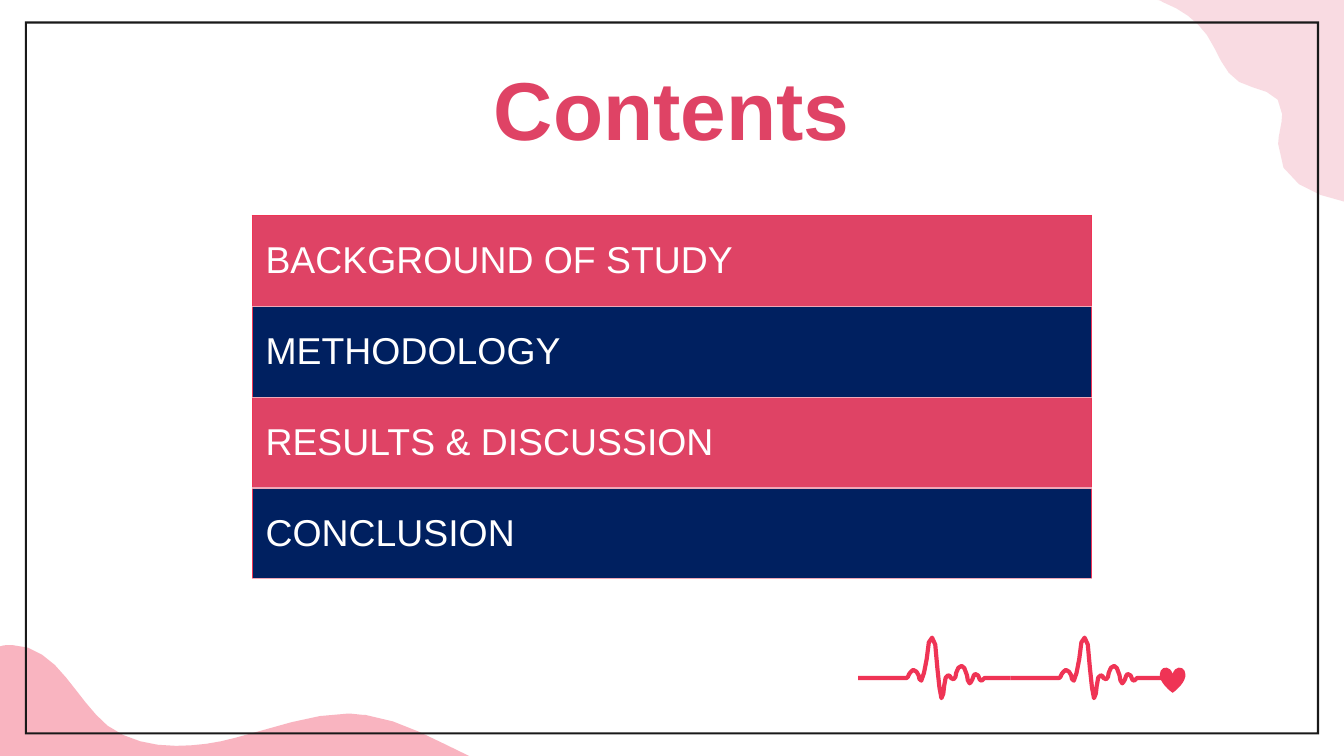
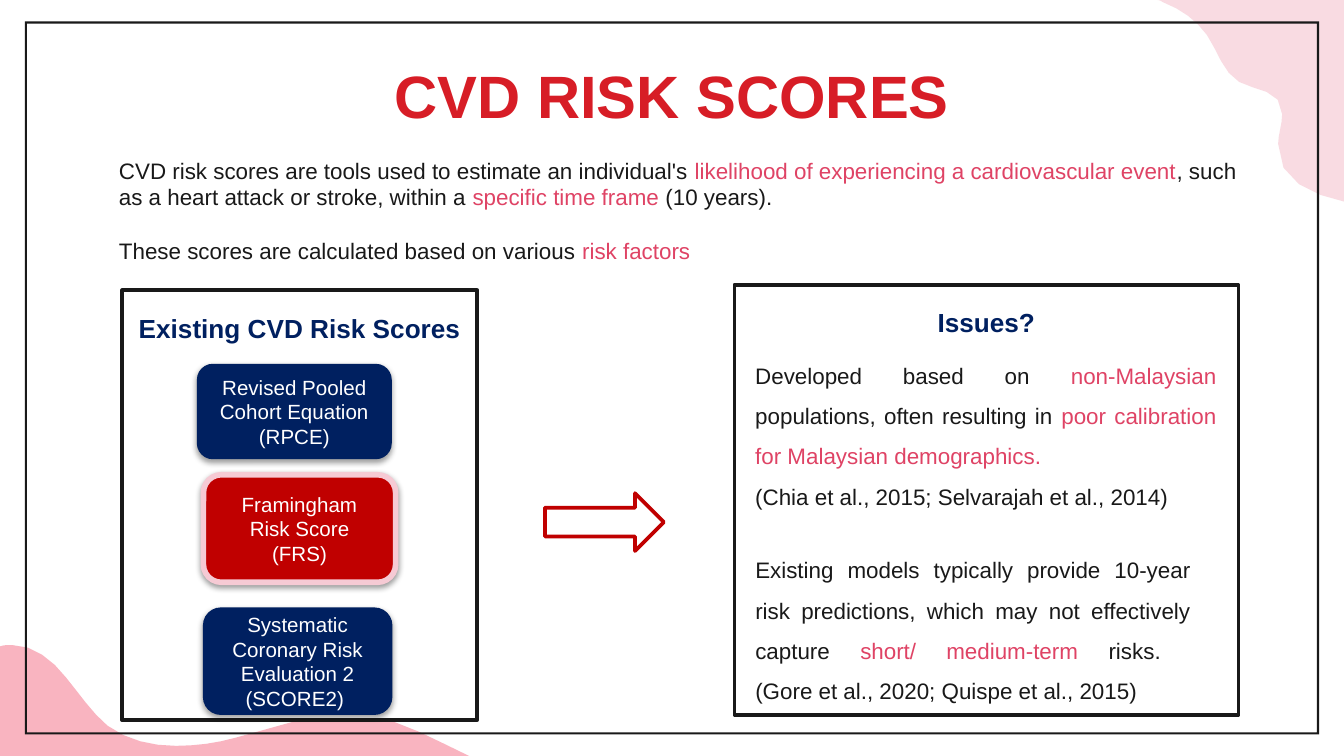
from copy import deepcopy

from pptx import Presentation
from pptx.dml.color import RGBColor
from pptx.enum.shapes import MSO_SHAPE
from pptx.enum.text import MSO_ANCHOR, MSO_AUTO_SIZE, PP_ALIGN
from pptx.oxml import parse_xml
from pptx.oxml.ns import nsdecls
from pptx.util import Emu, Pt

# The grid: 100 columns by 56.25 rows of square cells
WIDTH, HEIGHT = Emu(9144000), Emu(5143500)
CELL = WIDTH / 100
COLS, ROWS = 100, 56.25
FONT = "Arial"

WHITE = RGBColor(0xFF, 0xFF, 0xFF)
INK = RGBColor(0x19, 0x19, 0x19)
ROSE = RGBColor(0xDF, 0x43, 0x65)
NAVY = RGBColor(0x00, 0x20, 0x60)
RED = RGBColor(0xD7, 0x1D, 0x26)
DEEP = RGBColor(0xC0, 0x00, 0x00)
CORAL = RGBColor(0xEF, 0x34, 0x55)
PINK = RGBColor(0xF0, 0xA7, 0xB7)
BLUSH = RGBColor(0xF6, 0xCA, 0xD4)

# Bezier points in cells: a start, then two handles and an end for each bend
CORNER = [
    (100, 15), (97.7, 14.5), (95, 13.5), (95.1, 10.7),
    (95.1, 10), (95.4, 9.3), (95.4, 8.5), (95.4, 6.6), (93.4, 6.8), (92.2, 6.1),
    (91, 5.4), (90.6, 3.8), (89.8, 2.6), (89, 1.5), (87.9, 0.7), (86.6, 0.2),
    (86.4, 0.1), (86.3, 0), (86.1, 0),
]
HILL = [
    (0, 48.1), (0.3, 48), (0.5, 48), (0.9, 48),
    (2.5, 48), (3.9, 49.1), (4.9, 50.4), (5.9, 51.6), (6.8, 53), (8, 54),
    (9.5, 55.1), (11.3, 55.5), (13.1, 55.5), (14.6, 55.5), (16.1, 55.3), (17.5, 54.9),
    (20.3, 54.2), (23.1, 53.1), (25.9, 53.1), (26.3, 53.1), (26.8, 53.2), (27.2, 53.2),
    (30, 53.6), (32.4, 55.1), (34.9, ROWS),
]
PULSE = [
    (3.6, 3), (3.7, 3), (3.7, 2.9), (3.8, 2.7), (3.9, 2.6), (4, 2.4), (4.1, 2.4),
    (4.3, 2.4), (4.4, 2.6), (4.5, 2.8), (4.5, 3), (4.6, 3.2), (4.7, 3.2),
    (4.8, 3.1), (5, 2.3), (5.1, 1.6), (5.2, 0.4), (5.3, 0), (5.5, 0),
    (5.7, 0), (5.8, 0.6), (5.9, 2.3), (6, 3.2), (6.1, 4.4), (6.2, 4.5),
    (6.3, 4.4), (6.4, 4), (6.4, 3.6), (6.5, 3), (6.5, 2.8), (6.7, 2.8),
    (6.8, 2.8), (6.9, 2.9), (6.9, 3), (7, 3), (7, 3.1), (7.1, 3.1),
    (7.2, 3.1), (7.3, 2.8), (7.3, 2.6), (7.4, 2.3), (7.5, 2.1), (7.7, 2.1),
    (7.9, 2.1), (7.9, 2.3), (8.1, 2.8), (8.1, 3), (8.2, 3.4), (8.3, 3.4),
    (8.4, 3.4), (8.4, 3.2), (8.5, 3.1), (8.6, 2.9), (8.6, 2.7), (8.7, 2.7),
    (8.9, 2.7), (9, 2.9), (9, 3), (9, 3.1), (9.1, 3.2), (9.2, 3.2),
    (9.3, 3.2), (9.3, 3), (9.4, 3),
]
BEAT = 11.35


def cells(*nums):
    return [Emu(round(n * CELL)) for n in nums]


def put(thing, **vals):
    """Set each named attribute of thing."""
    for name, val in vals.items():
        setattr(thing, name, val)


def bend(pts, steps):
    """Turn Bezier points into a run of points, so many steps to a bend."""
    out = [pts[0]]
    for i in range(0, len(pts) - 1, 3):
        for step in range(1, steps + 1):
            t = step / steps
            u = 1 - t
            mix = (u ** 3, 3 * u * u * t, 3 * u * t * t, t ** 3)
            out.append(tuple(sum(m * p[k] for m, p in zip(mix, pts[i:i + 4]))
                             for k in (0, 1)))
    return out


def paint(shape, fill=None, line=None, wide=1, alpha=None):
    shape.shadow.inherit = False
    if fill is None:
        shape.fill.background()
    else:
        shape.fill.solid()
        shape.fill.fore_color.rgb = fill
    if alpha:
        tint = shape.element.spPr.find(".//{*}srgbClr")
        tint.append(parse_xml(f'<a:alpha {nsdecls("a")} val="{alpha * 1000}"/>'))
    if line is None:
        shape.line.fill.background()
    else:
        shape.line.color.rgb = line
        shape.line.width = Pt(wide)
    return shape


def block(host, kind, at, **look):
    return paint(host.add_shape(kind, *cells(*at)), **look)


def sketch(host, pts, close, **look):
    pts = [cells(*p) for p in pts]
    pen = host.build_freeform(*pts[0], scale=1.0)
    pen.add_line_segments(pts[1:], close=close)
    return paint(pen.convert_to_shape(), **look)


def drop(shape):
    """Give the shape a soft shadow straight below."""
    shape.element.spPr.find("{*}effectLst").append(parse_xml(
        f'<a:outerShdw {nsdecls("a")} blurRad="40000" dist="20000" dir="5400000" '
        'rotWithShape="0"><a:srgbClr val="000000"><a:alpha val="38000"/>'
        '</a:srgbClr></a:outerShdw>'))


def style(font, size, tint, bold=False):
    put(font, name=FONT, size=Pt(size), bold=bold)
    font.color.rgb = tint


def write(frame, paras, size, tint=INK, bold=False, **form):
    """Fill a frame; a para is a list of plain strings and (string, colour) pairs."""
    put(frame, word_wrap=True, auto_size=MSO_AUTO_SIZE.NONE)
    for i, parts in enumerate(paras):
        para = frame.paragraphs[0] if i == 0 else frame.add_paragraph()
        put(para, **form)
        for part in parts:
            text, hue = (part, tint) if isinstance(part, str) else part
            if text == "\n":
                para.add_line_break()
                para._p[-1].append(deepcopy(para.runs[-1]._r.rPr))
                continue
            run = para.add_run()
            run.text = text
            style(run.font, size, hue, bold)


def label(host, at, paras, size, **form):
    frame = host.add_textbox(*cells(*at)).text_frame
    write(frame, paras, size, **form)
    return frame


def head(slide, text, top, size, tint):
    title = slide.shapes.title
    left, top, wide, tall = cells(7.85, top, 84.3, 6.3)
    put(title, left=left, top=top, width=wide, height=tall)
    gap = cells(1)[0]
    put(title.text_frame, vertical_anchor=MSO_ANCHOR.MIDDLE, margin_left=gap,
        margin_right=gap, margin_top=gap, margin_bottom=gap)
    write(title.text_frame, [[text]], size, tint, True, alignment=PP_ALIGN.CENTER)


def dress(layout, slide):
    """Draw the shared backdrop and move it to the layout."""
    host = slide.shapes
    frame = (1.85, 1.6, 96.3, 53.05)
    parts = [
        sketch(host, bend(CORNER, 4) + [(COLS, 0)], True, fill=PINK, alpha=40),
        sketch(host, bend(HILL, 4) + [(0, ROWS)], True, fill=CORAL, alpha=37),
        block(host, MSO_SHAPE.FRAME, frame, fill=INK),
    ]
    parts[-1].adjustments[0] = 0.003
    for i, part in enumerate(parts):
        layout.shapes.element.insert(2 + i, part.element)


def edge(cell, **tints):
    """Draw cell borders; the names are L, R, T and B."""
    props = cell._tc.get_or_add_tcPr()
    for i, (side, tint) in enumerate(tints.items()):
        props.insert(i, parse_xml(
            f'<a:ln{side} {nsdecls("a")} w="9525"><a:solidFill>'
            f'<a:srgbClr val="{tint}"/></a:solidFill></a:ln{side}>'))


def agenda(slide, items):
    table = slide.shapes.add_table(
        len(items), 1, *cells(18.76, 16.03, 62.45, 6.76 * len(items))).table
    put(table, first_row=False, horz_banding=False)
    for i, item in enumerate(items):
        cell = table.cell(i, 0)
        put(cell, vertical_anchor=MSO_ANCHOR.MIDDLE, margin_left=cells(1)[0],
            margin_right=cells(1)[0], margin_top=0, margin_bottom=0)
        cell.fill.solid()
        cell.fill.fore_color.rgb = (ROSE, NAVY)[i % 2]
        cell.text = item
        style(cell.text_frame.paragraphs[0].runs[0].font, 20, WHITE)
        edge(cell, L=CORAL, R=CORAL, T=PINK if i else CORAL, B=PINK)


def pulse(slide):
    host = slide.shapes.add_group_shape().shapes
    wave = [(0, 3)] + bend(PULSE, 2) + [(BEAT, 3)]
    for n in range(2):
        pts = [(63.85 + n * BEAT + x, 47.45 + y) for x, y in wave]
        sketch(host, pts, False, line=CORAL, wide=2.25)
    block(host, MSO_SHAPE.HEART, (86.3, 49.65, 1.9, 1.9), fill=CORAL)


def panel(slide, at, name, spot):
    """Draw a framed box with a heading and return its group's shapes."""
    host = slide.shapes.add_group_shape().shapes
    block(host, MSO_SHAPE.RECTANGLE, at, fill=WHITE, line=INK, wide=2)
    label(host, spot, [[name]], 14, tint=NAVY, bold=True, alignment=PP_ALIGN.CENTER)
    return host


def pill(host, at, text, fill, **look):
    shape = block(host, MSO_SHAPE.ROUNDED_RECTANGLE, at, fill=fill, **look)
    drop(shape)
    shape.text_frame.vertical_anchor = MSO_ANCHOR.MIDDLE
    write(shape.text_frame, [[text]], 11, WHITE, alignment=PP_ALIGN.CENTER)


def scores(slide):
    host = panel(slide, (9.1, 21.6, 26.4, 32), "Existing CVD Risk Scores",
                 (9.1, 22.75, 26.4, 3.4))
    pill(host, (15.14, 35.33, 14.3, 8), "Framingham Risk Score (FRS)", DEEP,
         line=BLUSH, wide=3)
    pill(host, (15.1, 45.2, 14.1, 8),
         "Systematic Coronary Risk Evaluation 2 (SCORE2) ", NAVY)
    pill(host, (14.65, 27.07, 14.5, 7.1), "Revised Pooled Cohort Equation (RPCE)", NAVY)


def issues(slide):
    host = panel(slide, (54.65, 21.2, 37.5, 32), "Issues?", (60.84, 22.3, 25.1, 3.4))
    notes = [
        ((52.1, 25.44, 39.4, 12.8), [
            ["Developed based on ", ("non-Malaysian", ROSE),
             " populations, often resulting in ",
             ("poor calibration for Malaysian demographics. ", ROSE)],
            ["(Chia et al., 2015; Selvarajah et al., 2014)"]]),
        ((52.1, 39.9, 37.5, 12.8), [
            ["Existing models typically provide 10-year risk predictions, "
             "which may not effectively capture ", ("short/ medium-term ", ROSE),
             "risks. ", "\n", "(Gore et al., 2020; Quispe et al., 2015) "]]),
    ]
    for at, paras in notes:
        frame = label(host, at, paras, 12, alignment=PP_ALIGN.JUSTIFY, line_spacing=1.5)
        frame.margin_left = cells(4.1)[0]


def intro(slide):
    frame = label(slide.shapes, (7.87, 11.17, 86.4, 9.1), [
        ["CVD risk scores are tools used to estimate an individual's ",
         ("likelihood of experiencing a cardiovascular event", ROSE),
         ", such as a heart attack or stroke, within a ",
         ("specific time frame ", ROSE), "(10 years). "],
        ["These scores are calculated based on various ", ("risk factors", ROSE)],
    ], 12)
    frame.paragraphs[1].space_before = Pt(14)


def main():
    deck = Presentation()
    put(deck, slide_width=WIDTH, slide_height=HEIGHT)
    layout = deck.slide_layouts[5]

    first = deck.slides.add_slide(layout)
    dress(layout, first)
    head(first, "Contents", 4.85, 44, ROSE)
    agenda(first, ["BACKGROUND OF STUDY", "METHODOLOGY",
                   "RESULTS & DISCUSSION", "CONCLUSION"])
    pulse(first)

    second = deck.slides.add_slide(layout)
    head(second, "CVD RISK SCORES", 3.9, 32, RED)
    scores(second)
    block(second.shapes, MSO_SHAPE.RIGHT_ARROW, (40.55, 36.7, 8.85, 4.3),
          line=DEEP, wide=2)
    issues(second)
    intro(second)
    deck.save("out.pptx")


if __name__ == "__main__":
    main()
